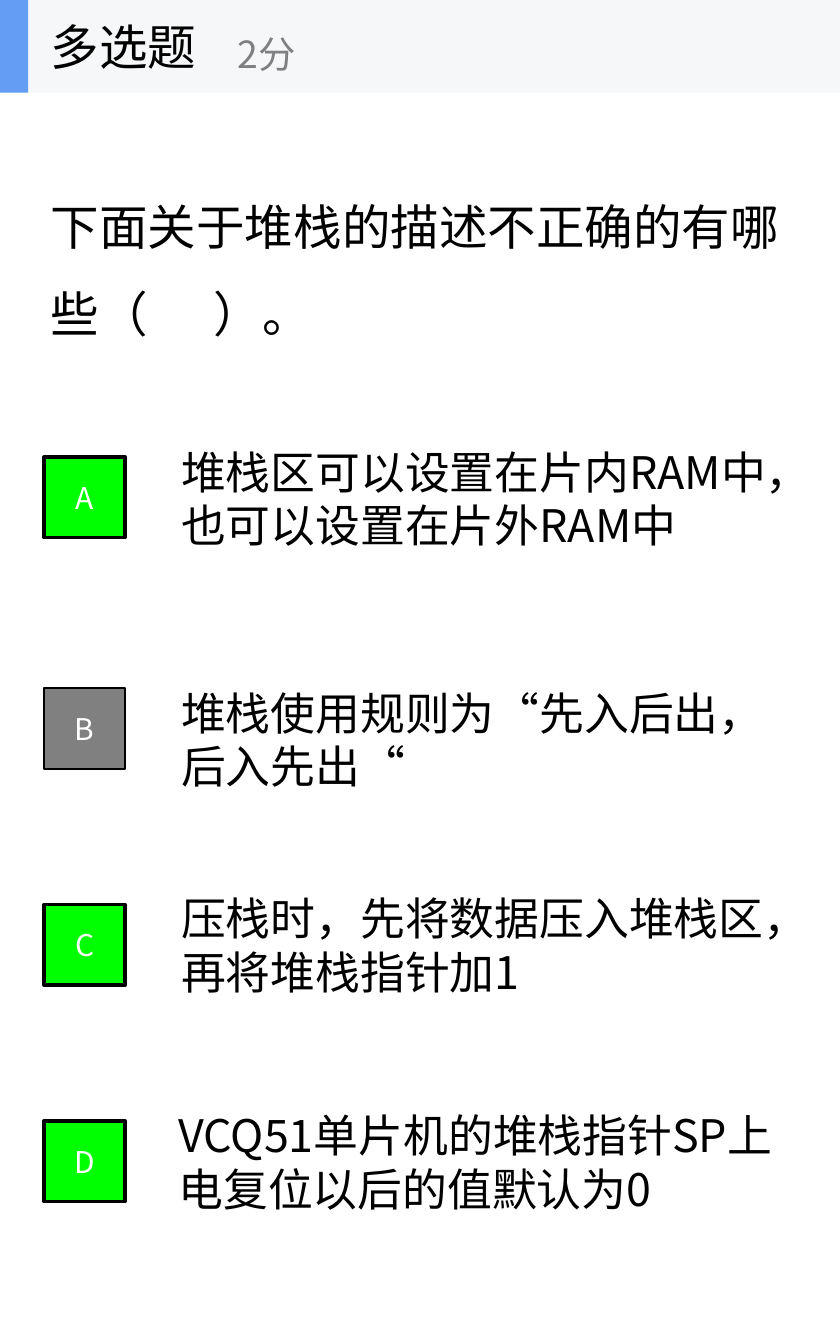
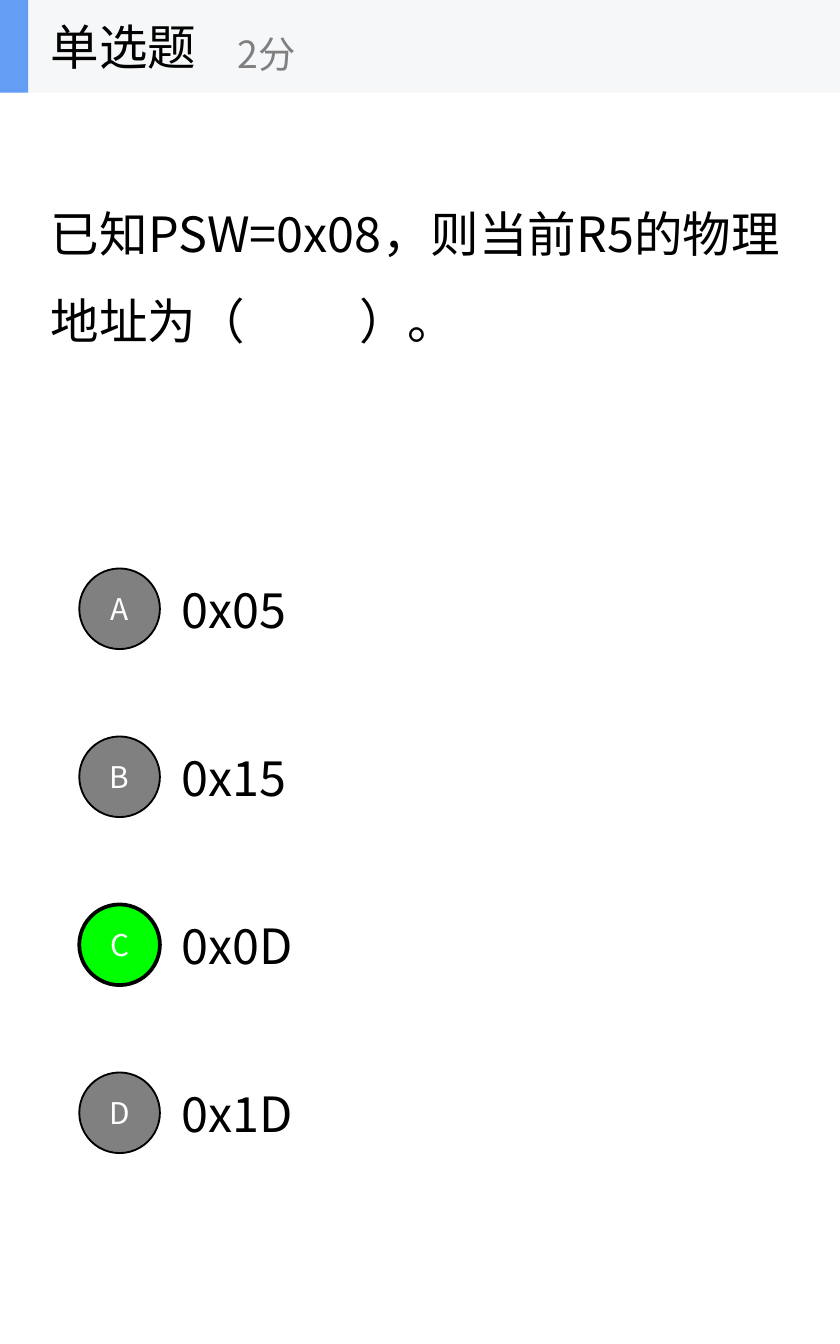
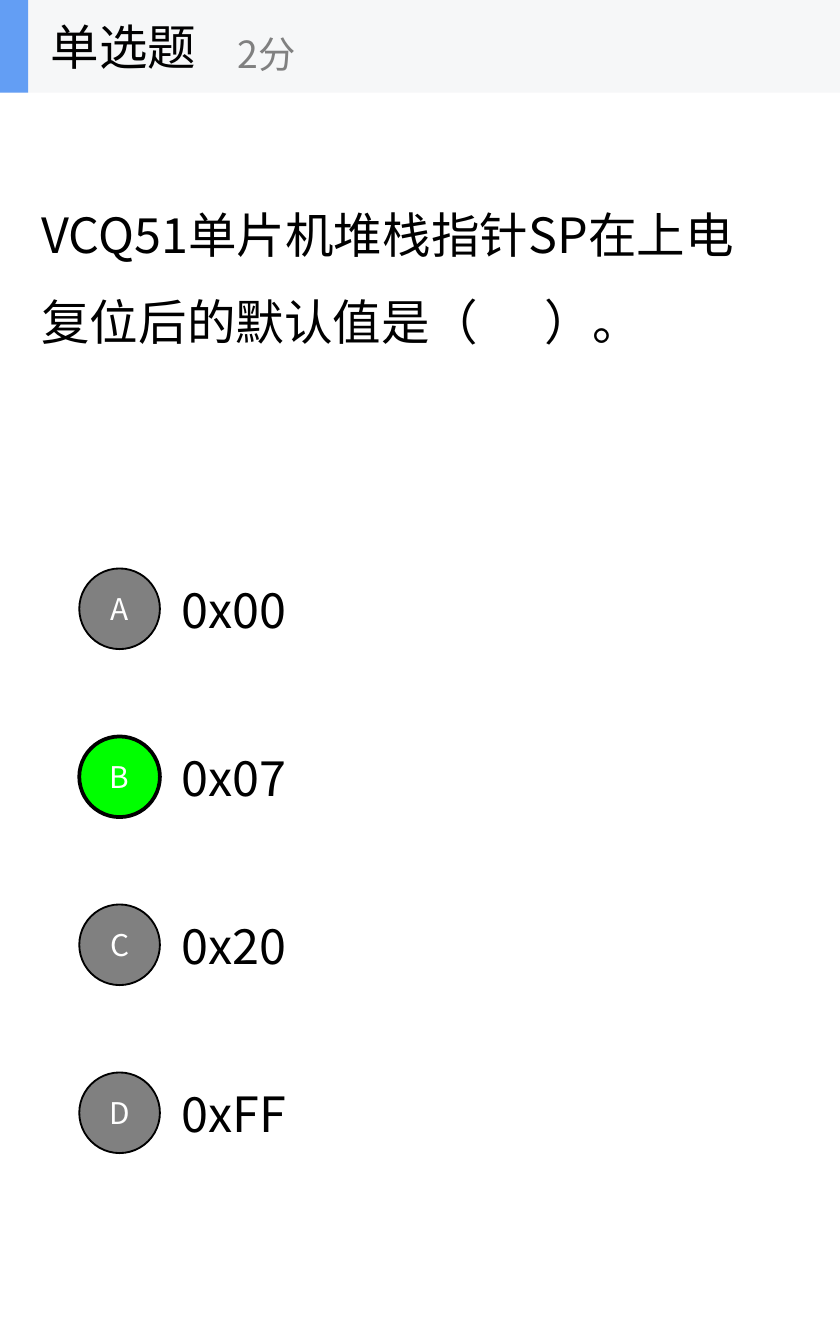
from lxml import etree
from pptx import Presentation, util as u
from pptx.dml.color import RGBColor
from pptx.enum import shapes, text
from pptx.oxml.ns import qn

COLORS = {"ink": "000000", "muted": "808080", "right": "00FF00",
          "white": "FFFFFF", "band": "F6F7F8", "accent": "639EF4"}
FONT = "Noto Sans CJK SC"
WIDTH, HEIGHT = 6.25, 10
BAND_H = 0.69
MARKER = 0.6
BLANK_W = 0.49  # answer gap between the brackets
QUESTION_PT = 26


def add_text(parent, box, words, size, color="ink", wrap=True):
    label = parent.add_textbox(*map(u.Inches, box))
    write(label, words, size, color, wrap)
    return label.text_frame.paragraphs[0]


def write(shape, words, size, color, wrap=True):
    frame = shape.text_frame
    frame.word_wrap = wrap
    frame.vertical_anchor = text.MSO_ANCHOR.MIDDLE
    run = frame.paragraphs[0].add_run()
    run.text = words
    for name, value in {"size": u.Pt(size), "name": FONT}.items():
        setattr(run.font, name, value)
    run.font.color.rgb = RGBColor.from_string(COLORS[color])
    etree.SubElement(run.font._element, qn("a:ea")).set("typeface", FONT)


# Options: text box, words; the markers have their own left edge and tops
hex_tops = [4.06 + 1.25 * row for row in range(4)]
hex_markers = [top + 0.17 for top in hex_tops]
hex_boxes = [(1.25, top, 4.38, 0.94) for top in hex_tops]
single = {"kind": "单选题", "marker": shapes.MSO_SHAPE.OVAL, "marker_left": 0.59,
          "marker_tops": hex_markers, "boxes": hex_boxes, "option_pt": 26}

# "last_line" counts the characters before the gap on the question's last line
questions = [
    {"kind": "多选题", "marker": shapes.MSO_SHAPE.RECTANGLE, "marker_left": 0.33,
     "marker_tops": [3.4, 5.12, 6.73, 8.34], "option_pt": 24,
     "boxes": [(1.25, 3.1, 4.7, 1.21), (1.25, 5.03, 4.67, 0.94),
               (1.25, 6.56, 4.67, 0.94), (1.23, 8.17, 4.7, 0.94)],
     "stem": "下面关于堆栈的描述不正确的有哪些（\t）。", "last_line": 2,
     "stem_box": (0.28, 0.96, 5.67, 1.88), "answer": "ACD",
     "options": ["堆栈区可以设置在片内RAM中，也可以设置在片外RAM中",
                 "堆栈使用规则为“先入后出，后入先出“",
                 "压栈时，先将数据压入堆栈区，再将堆栈指针加1",
                 "VCQ51单片机的堆栈指针SP上电复位以后的值默认为0"]},
    {**single, "stem": "已知PSW=0x08，则当前R5的物理地址为（\t）。", "last_line": 5,
     "stem_box": (0.28, 1.13, 5.69, 1.64), "answer": "C",
     "options": ["0x05", "0x15", "0x0D", "0x1D"]},
    {**single, "stem": "VCQ51单片机堆栈指针SP在上电复位后的默认值是（\t）。", "last_line": 9,
     "stem_box": (0.21, 1.01, 5.69, 1.89), "answer": "B",
     "options": ["0x00", "0x07", "0x20", "0xFF"]},
]

deck = Presentation()
deck.slide_width, deck.slide_height = u.Inches(WIDTH), u.Inches(HEIGHT)

for question in questions:
    slide = deck.slides.add_slide(deck.slide_layouts[6])

    # Question, with a tab stop that keeps the answer gap open
    stem = add_text(slide.shapes, question["stem_box"], question["stem"], QUESTION_PT)
    stem.line_spacing = 1.5
    gap_end = question["last_line"] * QUESTION_PT / 72 + BLANK_W
    tabs = etree.SubElement(stem._p.get_or_add_pPr(), qn("a:tabLst"))
    stop = etree.SubElement(tabs, qn("a:tab"))
    stop.set("pos", str(u.Inches(gap_end)))
    stop.set("algn", "l")

    # Option texts
    for box, option in zip(question["boxes"], question["options"]):
        add_text(slide.shapes, box, option, question["option_pt"])

    # Lettered markers, green where the option is an answer
    for letter, top in zip("ABCD", question["marker_tops"]):
        correct = letter in question["answer"]
        marker = slide.shapes.add_shape(
            question["marker"], u.Inches(question["marker_left"]), u.Inches(top),
            u.Inches(MARKER), u.Inches(MARKER))
        marker.shadow.inherit = False
        marker.fill.solid()
        marker.fill.fore_color.rgb = RGBColor.from_string(COLORS["right" if correct else "muted"])
        marker.line.color.rgb = RGBColor.from_string(COLORS["ink"])
        marker.line.width = u.Pt(2 if correct else 1)
        write(marker, letter, 16, "white")
        marker.text_frame.paragraphs[0].alignment = text.PP_ALIGN.CENTER

    # Header band with question type and score
    header = slide.shapes.add_group_shape().shapes
    for width, color in ((WIDTH, "band"), (0.21, "accent")):
        band = header.add_shape(shapes.MSO_SHAPE.RECTANGLE, 0, 0,
                                u.Inches(width), u.Inches(BAND_H))
        band.shadow.inherit = False
        band.fill.solid()
        band.fill.fore_color.rgb = RGBColor.from_string(COLORS[color])
        band.line.fill.background()
    add_text(header, (0.28, 0, 2.08, BAND_H), question["kind"], 26, wrap=False)
    add_text(header, (1.67, 0.12, 2.5, 0.56), "2分", 20, "muted", wrap=False)

deck.save("out.pptx")
